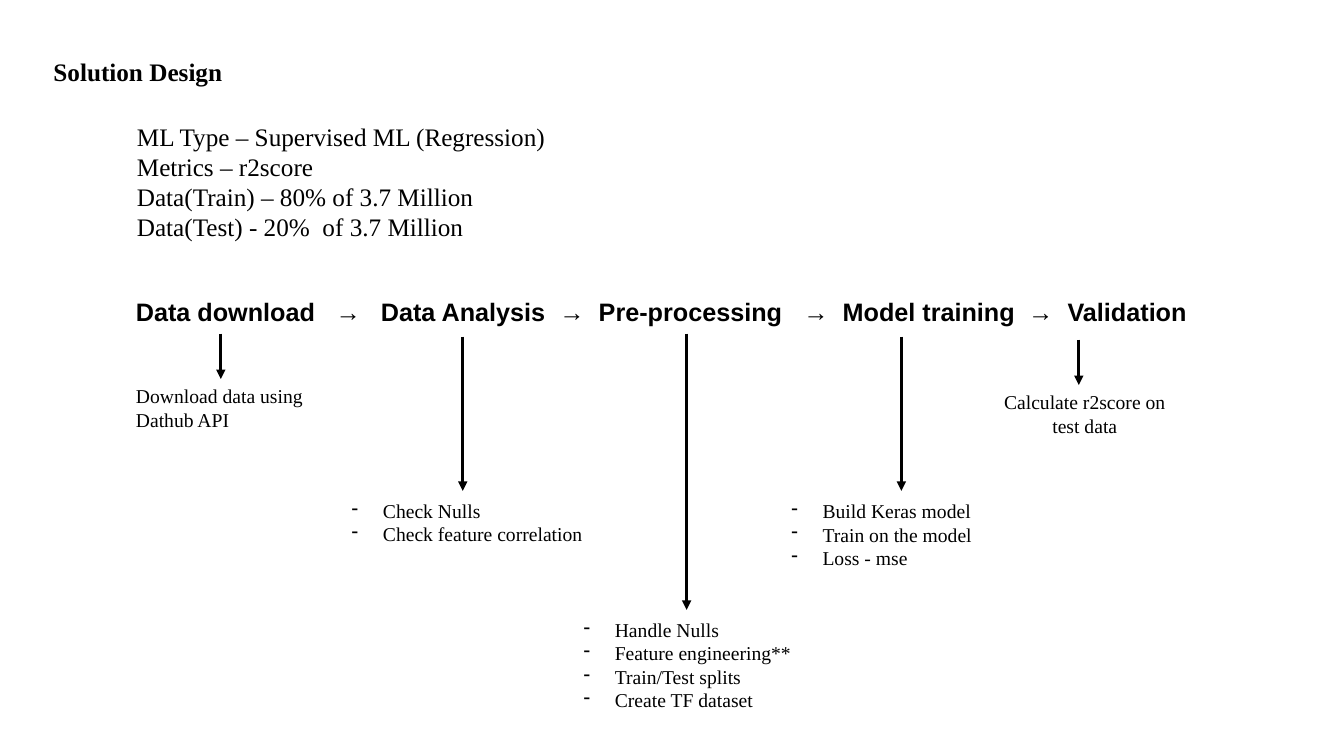
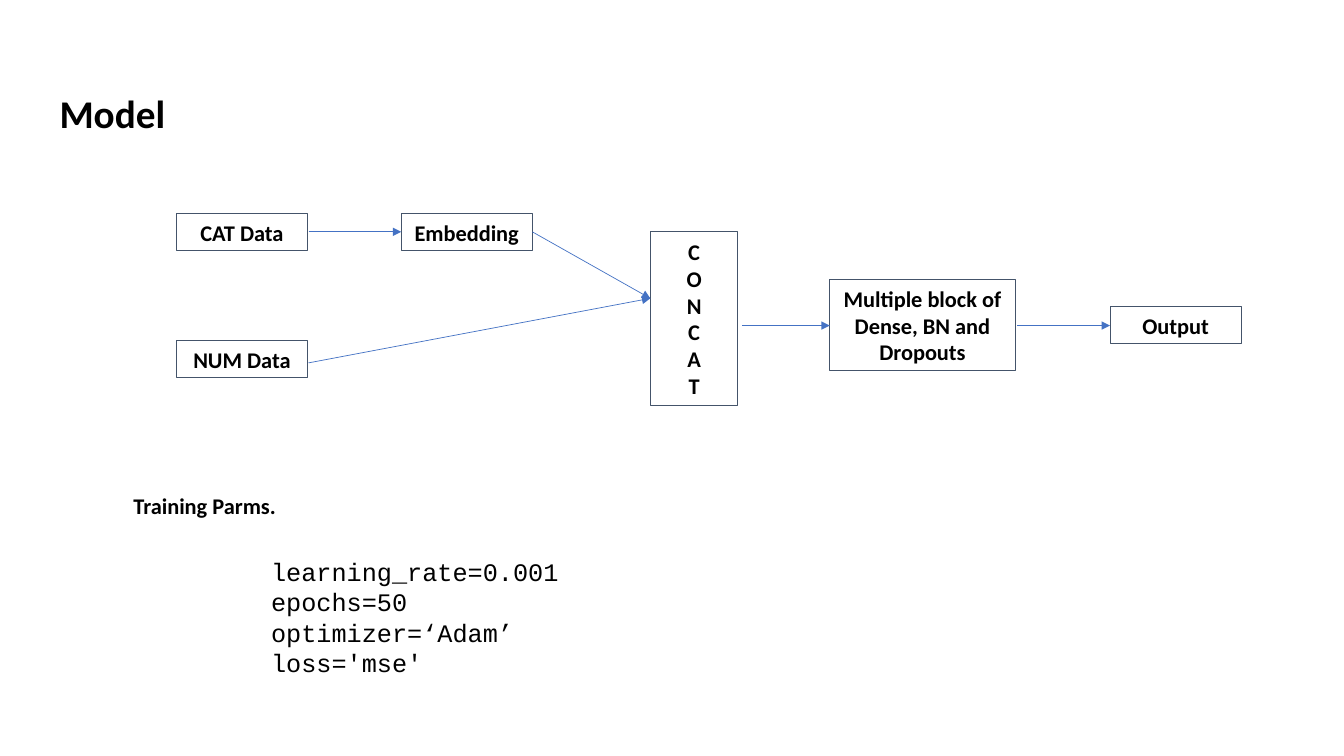
"""Builds two slides on the design and the model of a regression task."""
from lxml.etree import SubElement
from pptx import Presentation
from pptx.dml.color import RGBColor
from pptx.enum.shapes import MSO_CONNECTOR, MSO_SHAPE
from pptx.enum.text import MSO_ANCHOR, MSO_AUTO_SIZE, PP_ALIGN
from pptx.oxml.ns import qn
from pptx.util import Inches, Pt

HUES = {"ink": "000000", "edge": "44546A", "flow": "4472C4"}
SERIF, SANS, BODY, CODE = "Times New Roman", "Arial", "Calibri", "Courier New"
LEFT, MID = PP_ALIGN.LEFT, PP_ALIGN.CENTER


def hue(name):
    return RGBColor.from_string(HUES[name])


class Deck:
    def __init__(self):
        self.show = Presentation()
        self.show.slide_width, self.show.slide_height = Inches(13.33), Inches(7.5)

    def page(self, title, area, face, size):
        self.slide = self.show.slides.add_slide(self.show.slide_layouts[5])
        head = self.slide.shapes.title
        head.left, head.top, head.width, head.height = map(Inches, area)
        self.fill(head, [title], face, size, True)

    def fill(self, shape, lines, face, size, bold=False, align=LEFT,
             dash=False, tabs=(), anchor=MSO_ANCHOR.TOP):
        frame = shape.text_frame
        frame.word_wrap, frame.auto_size = True, MSO_AUTO_SIZE.NONE
        frame.vertical_anchor = anchor
        frame.text = "\n".join(lines)
        for para in frame.paragraphs:
            para.alignment = align
            props = para._p.get_or_add_pPr()
            if dash:
                props.set("marL", str(Inches(0.31)))
                props.set("indent", str(-Inches(0.31)))
                SubElement(props, qn("a:buChar"), char="-")
            if tabs:
                stops = SubElement(props, qn("a:tabLst"))
                for stop in tabs:
                    SubElement(stops, qn("a:tab"), pos=str(Inches(stop)), algn="l")
            font = para.font
            font.name, font.size, font.bold = face, Pt(size), bold
            font.color.rgb = hue("ink")

    def text(self, area, lines, face, size, **style):
        shape = self.slide.shapes.add_textbox(*map(Inches, area))
        self.fill(shape, lines, face, size, **style)

    def box(self, area, lines):
        shape = self.slide.shapes.add_shape(MSO_SHAPE.RECTANGLE, *map(Inches, area))
        shape.shadow.inherit = False
        shape.fill.background()
        shape.line.color.rgb, shape.line.width = hue("edge"), Pt(0.75)
        self.fill(shape, lines, BODY, 16, True, MID, anchor=MSO_ANCHOR.MIDDLE)

    def arrow(self, ends, color, width):
        link = self.slide.shapes.add_connector(MSO_CONNECTOR.STRAIGHT, *map(Inches, ends))
        link.line.color.rgb, link.line.width = hue(color), Pt(width)
        props = link._element.spPr
        SubElement(props.find(qn("a:ln")), qn("a:tailEnd"), type="triangle")
        SubElement(props, qn("a:effectLst"))


deck = Deck()

deck.page("Solution Design", (0.43, 0.51, 2.35, 0.4), SERIF, 18)
deck.text((1.26, 1.15, 6.83, 1.31), [
    "ML Type – Supervised ML (Regression)", "Metrics – r2score",
    "Data(Train) – 80% of 3.7 Million", "Data(Test) - 20%  of 3.7 Million"], SERIF, 18)
stages = ["Data download", "Data Analysis", "Pre-processing", "Model training", "Validation"]
deck.text((1.25, 2.89, 12, 0.4), ["\t→\t".join(stages)], SANS, 18, bold=True,
          tabs=(1.98, 2.43, 4.2, 4.59, 6.62, 7.01, 8.85, 9.24))
for x, top, end in ((2.19, 3.31, 3.76), (4.59, 3.34, 4.87), (6.81, 3.31, 6.05),
                    (8.94, 3.34, 4.87), (10.7, 3.37, 3.82)):
    deck.arrow((x, top, x, end), "ink", 2.25)
deck.text((1.25, 3.76, 1.86, 0.57), ["Download data using Dathub API"], SERIF, 14)
deck.text((9.83, 3.82, 1.86, 0.57), ["Calculate r2score on test data"], SERIF, 14, align=MID)
for x, y, tall, steps in (
        (3.39, 4.9, 0.57, ["Check Nulls", "Check feature correlation"]),
        (5.69, 6.08, 1.04, ["Handle Nulls", "Feature engineering**",
                            "Train/Test splits", "Create TF dataset"]),
        (7.75, 4.9, 0.81, ["Build Keras model", "Train on the model", "Loss - mse"])):
    deck.text((x, y, 2.56, tall), steps, SERIF, 14, dash=True)

deck.page("Model", (0.49, 0.84, 5.96, 0.57), BODY, 28)
for x, y, label in ((1.75, 2.12, "CAT Data"), (1.75, 3.38, "NUM Data"),
                    (3.98, 2.12, "Embedding"), (11.01, 3.04, "Output")):
    deck.box((x, y, 1.3, 0.37), [label])
deck.box((6.45, 2.3, 0.87, 1.72), "CONCAT")
deck.box((8.23, 2.77, 1.84, 0.91), ["Multiple block of Dense, BN and Dropouts"])
for ends in ((3.06, 2.3, 3.98, 2.3), (5.28, 2.3, 6.45, 2.96), (3.06, 3.6, 6.45, 2.96),
             (7.36, 3.23, 8.23, 3.23), (10.09, 3.23, 11.01, 3.23)):
    deck.arrow(ends, "flow", 0.5)
deck.text((0.87, 4.83, 2.32, 0.37), ["Training Parms."], BODY, 16, bold=True, align=MID)
deck.text((2.59, 5.47, 4.13, 1.62), [
    "learning_rate=0.001", "epochs=50", "optimizer=‘Adam’", "loss='mse'"], CODE, 18)

deck.show.save("out.pptx")
